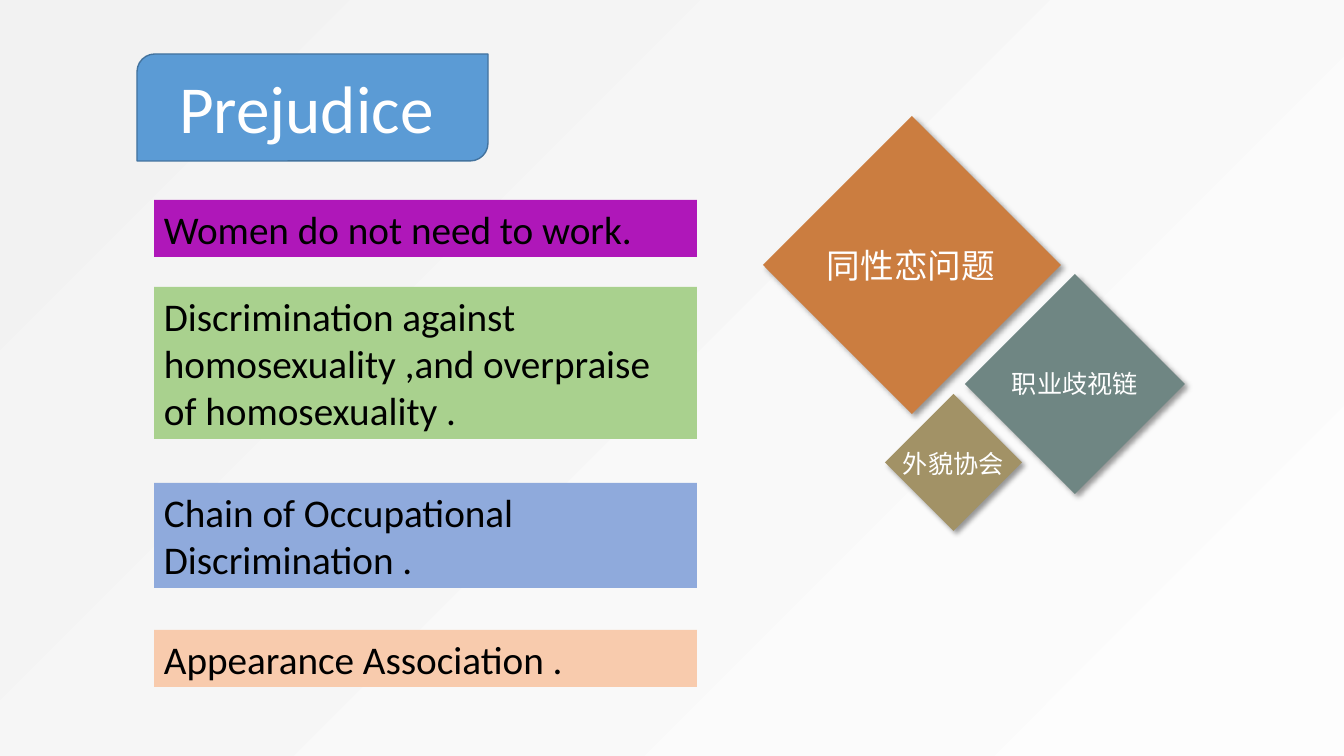
from pptx import Presentation
from pptx import util as u
from pptx.dml import color
from pptx.enum import shapes, text
from pptx.oxml import parse_xml
from pptx.oxml import ns

PX = 914400 / 100.8
FONT = "Calibri"
WHITE = color.RGBColor(0xFF, 0xFF, 0xFF)
BLACK = color.RGBColor(0x00, 0x00, 0x00)
PALE = color.RGBColor(0xFD, 0xFD, 0xFD)
GREY = color.RGBColor(0xF2, 0xF2, 0xF2)
BLUE = color.RGBColor(0x5B, 0x9B, 0xD5)
NAVY = color.RGBColor(0x43, 0x73, 0x9E)
RUST = color.RGBColor(0xCB, 0x7D, 0x40)
TEAL = color.RGBColor(0x6F, 0x86, 0x83)
KHAKI = color.RGBColor(0xA2, 0x92, 0x66)
PURPLE = color.RGBColor(0xAF, 0x17, 0xB9)
GREEN = color.RGBColor(0xA9, 0xD1, 0x8E)
SKY = color.RGBColor(0x8F, 0xAA, 0xDC)
PEACH = color.RGBColor(0xF8, 0xCB, 0xAD)

SHADE = f"""<a:effectLst {ns.nsdecls('a')}>
<a:outerShdw blurRad="50800" dist="38100" dir="2700000" algn="tl" rotWithShape="0">
<a:srgbClr val="000000"><a:alpha val="40000"/></a:srgbClr></a:outerShdw></a:effectLst>"""
GLOW = f"""<a:path {ns.nsdecls('a')} path="circle">
<a:fillToRect l="100000" t="100000"/></a:path>"""

LEFT, WIDTH = 154, 543
CLAIMS = [
    ("Women do not need to work.", 200, 57, PURPLE),
    ("Discrimination against homosexuality ,and overpraise of homosexuality .",
     287, 152, GREEN),
    ("Chain of Occupational Discrimination .", 483, 105, SKY),
    ("Appearance Association .", 630, 57, PEACH),
]
GEMS = [(763, 116, 298, RUST), (965, 274, 220, TEAL), (885, 394, 137, KHAKI)]
LABELS = [
    ("同性恋问题", (817, 240, 192, 50), 24),
    ("职业歧视链", (1002, 363, 160, 40), 18),
    ("外貌协会", (893, 443, 123, 40), 18),
]


def scale(box):
    return [round(n * PX) for n in box]


def write(shape, words, size=28, ink=BLACK, anchor=text.MSO_ANCHOR.TOP):
    frame = shape.text_frame
    frame.word_wrap = True
    frame.auto_size = text.MSO_AUTO_SIZE.NONE
    frame.vertical_anchor = anchor
    line = frame.paragraphs[0]
    line.alignment = text.PP_ALIGN.LEFT
    run = line.add_run()
    run.text = words
    run.font.name = FONT
    run.font.size = u.Pt(size)
    run.font.color.rgb = ink


def block(slide, kind, box, fill, edge=None, shade=False):
    shape = slide.shapes.add_shape(kind, *scale(box))
    shape.fill.solid()
    shape.fill.fore_color.rgb = fill
    if edge is None:
        shape.line.fill.background()
    else:
        shape.line.color.rgb = edge
        shape.line.width = u.Pt(1)
    shape.shadow.inherit = False
    if shade:
        props = shape.element.spPr
        props.replace(props.find(ns.qn("a:effectLst")), parse_xml(SHADE))
    return shape


def label(slide, words, box, size):
    shape = slide.shapes.add_textbox(*scale(box))
    write(shape, words, size=size, ink=WHITE)


def head(slide, words, box):
    title = slide.shapes.title
    title.left, title.top, title.width, title.height = scale(box)
    write(title, words, size=48, ink=WHITE)
    slide.shapes.element.append(title.element)


def paint(slide):
    fill = slide.background.fill
    fill.gradient()
    for stop, tone in zip(fill.gradient_stops, (PALE, GREY)):
        stop.color.rgb = tone
    grad = slide.element.find(".//" + ns.qn("a:gradFill"))
    grad.replace(grad.find(ns.qn("a:lin")), parse_xml(GLOW))


def main():
    deck = Presentation()
    deck.slide_width, deck.slide_height = scale((1344, 756))
    slide = deck.slides.add_slide(deck.slide_layouts[5])
    paint(slide)
    kind = shapes.MSO_SHAPE
    for x, y, side, fill in GEMS:
        block(slide, kind.DIAMOND, (x, y, side, side), fill, shade=True)
    block(slide, kind.ROUND_2_DIAG_RECTANGLE, (137, 54, 351, 107), BLUE, edge=NAVY)
    head(slide, "Prejudice", (169, 61, 355, 92))
    for words, top, high, fill in CLAIMS:
        bar = block(slide, kind.RECTANGLE, (LEFT, top, WIDTH, high), fill)
        write(bar, words)
    for words, box, size in LABELS:
        label(slide, words, box, size)
    deck.save("out.pptx")


if __name__ == "__main__":
    main()
